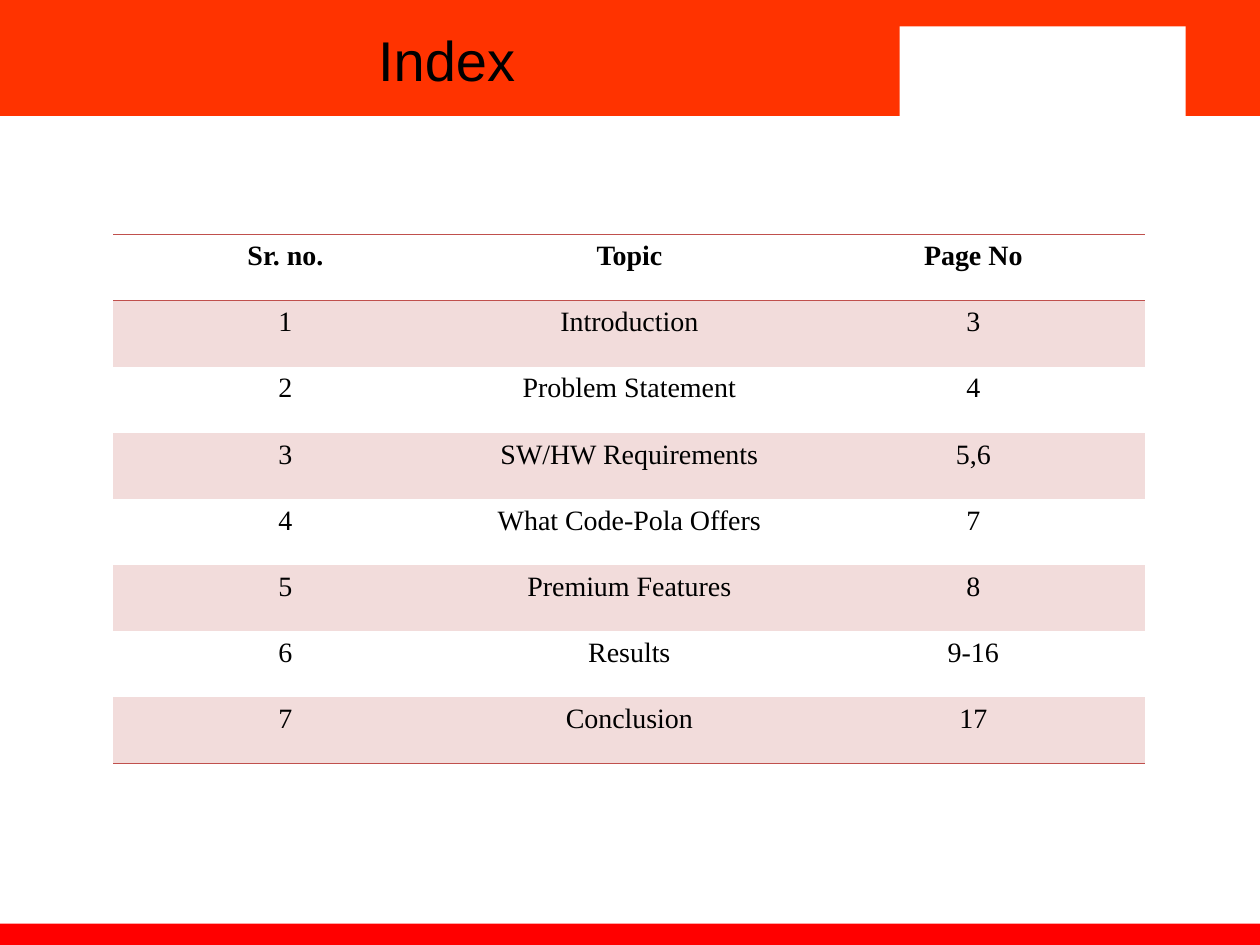
from dataclasses import dataclass

import pptx
import pptx.dml.color
import pptx.enum.shapes
import pptx.enum.text
import pptx.oxml
import pptx.oxml.ns
import pptx.util
from pptx.util import Inches

COLORS = {
    "header": "FF3300",
    "footer": "FF0000",
    "white": "FFFFFF",
    "text": "000000",
    "rule": "C0504D",
    "band": "F2DCDB",
}
NO_GRID_STYLE = "{2D5ABB26-0587-4C30-8999-92F81FD0307C}"


@dataclass
class Bar:
    left: float
    top: float
    width: float
    height: float
    color: str


@dataclass
class Entry:
    number: str
    topic: str
    pages: str


BARS = [
    Bar(0, 0, 10, 0.92, "header"),
    Bar(7.14, 0.21, 2.27, 0.75, "white"),
    Bar(0, 7.33, 10, 0.17, "footer"),
]
HEADING = Entry("Sr. no.", "Topic", "Page No")
ENTRIES = [
    Entry("1", "Introduction", "3"),
    Entry("2", "Problem Statement", "4"),
    Entry("3", "SW/HW Requirements", "5,6"),
    Entry("4", "What Code-Pola Offers", "7"),
    Entry("5", "Premium Features", "8"),
    Entry("6", "Results", "9-16"),
    Entry("7", "Conclusion", "17"),
]


def rgb(name: str) -> pptx.dml.color.RGBColor:
    return pptx.dml.color.RGBColor.from_string(COLORS[name])


def write(tf, text: str, *, size: float, font: str, bold: bool = False,
          spacing: float = 1.0) -> None:
    p = tf.paragraphs[0]
    p.alignment = pptx.enum.text.PP_ALIGN.CENTER
    p.line_spacing = spacing
    r = p.add_run()
    r.text = text
    r.font.size = pptx.util.Pt(size)
    r.font.name = font
    r.font.bold = bold
    r.font.color.rgb = rgb("text")


def add_bar(s, bar: Bar) -> None:
    sp = s.shapes.add_shape(
        pptx.enum.shapes.MSO_SHAPE.RECTANGLE, Inches(bar.left), Inches(bar.top),
        Inches(bar.width), Inches(bar.height))
    sp.shadow.inherit = False
    sp.fill.solid()
    sp.fill.fore_color.rgb = rgb(bar.color)
    sp.line.fill.background()


def add_title(s, text: str) -> None:
    sp = s.shapes.title
    sp.left, sp.top = Inches(0), Inches(0)
    sp.width, sp.height = Inches(7.09), Inches(1)
    tf = sp.text_frame
    tf.margin_left = tf.margin_right = tf.margin_top = tf.margin_bottom = 0
    tf.vertical_anchor = pptx.enum.text.MSO_ANCHOR.MIDDLE
    write(tf, text, size=32, font="Arial", spacing=0.9)
    s.shapes._spTree.append(sp._element)  # in front of the header bar


def add_rule(cell, side: str) -> None:
    """Draw a thin border on one side: lnT or lnB. Call before filling the cell."""
    cell._tc.get_or_add_tcPr().append(pptx.oxml.parse_xml(
        f'<a:{side} {pptx.oxml.ns.nsdecls("a")} w="12700"><a:solidFill>'
        f'<a:srgbClr val="{COLORS["rule"]}"/></a:solidFill></a:{side}>'))


def add_index(s, rows: list[Entry]) -> None:
    table = s.shapes.add_table(
        len(rows), 3, Inches(0.9), Inches(1.86), Inches(8.19), Inches(4.2)).table
    table._tbl.tblPr.find(pptx.oxml.ns.qn("a:tableStyleId")).text = NO_GRID_STYLE
    table.horz_banding = False
    for i, entry in enumerate(rows):
        for j, text in enumerate((entry.number, entry.topic, entry.pages)):
            cell = table.cell(i, j)
            if i == 0:
                add_rule(cell, "lnT")
            if i in (0, len(rows) - 1):
                add_rule(cell, "lnB")
            if i % 2:
                cell.fill.solid()
                cell.fill.fore_color.rgb = rgb("band")
            else:
                cell.fill.background()
            write(cell.text_frame, text, size=16, font="Times New Roman", bold=i == 0)


def main() -> None:
    prs = pptx.Presentation()
    prs.slide_width, prs.slide_height = Inches(10), Inches(7.5)
    s = prs.slides.add_slide(prs.slide_layouts[5])
    for bar in BARS:
        add_bar(s, bar)
    add_title(s, "Index")
    add_index(s, [HEADING, *ENTRIES])
    prs.save("out.pptx")


if __name__ == "__main__":
    main()
